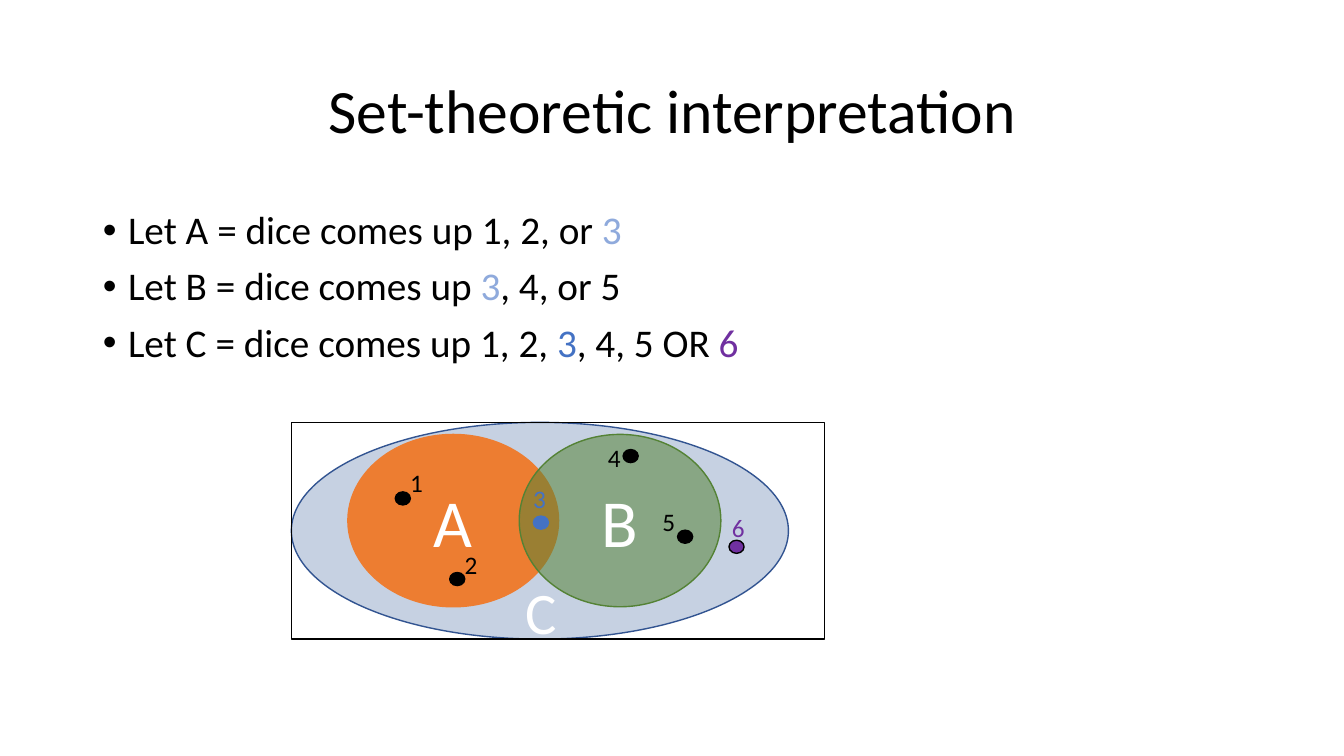
from lxml import etree
from pptx import Presentation
from pptx.dml.color import RGBColor
from pptx.enum.shapes import MSO_SHAPE
from pptx.enum.text import MSO_ANCHOR, MSO_AUTO_SIZE, PP_ALIGN
from pptx.oxml.ns import qn
from pptx.util import Pt

OVAL, RECTANGLE = MSO_SHAPE.OVAL, MSO_SHAPE.RECTANGLE
LEFT, CENTER = PP_ALIGN.LEFT, PP_ALIGN.CENTER
TOP, MIDDLE = MSO_ANCHOR.TOP, MSO_ANCHOR.MIDDLE
NO_FIT = MSO_AUTO_SIZE.NONE
EMU_PER_PX = 9144
FONT = "Calibri"
BLACK, WHITE = "000000", "FFFFFF"
BLUE, PALE_BLUE, PURPLE = "4472C4", "8FAADC", "7030A0"
ORANGE, GREEN = "ED7D31", "548235"

DEFINITIONS = [
    [("Let A = dice comes up 1, 2, or ", BLACK), ("3", PALE_BLUE)],
    [("Let B = dice comes up ", BLACK), ("3", PALE_BLUE), (", 4, or 5", BLACK)],
    [("Let C = dice comes up 1, 2, ", BLACK), ("3", BLUE),
     (", 4, 5 OR ", BLACK), ("6", PURPLE)],
]
OUTCOMES = [
    ("1", (103, 69), (108, 40), BLACK, BLACK),
    ("2", (157, 149), (162, 121), BLACK, BLACK),
    ("3", (240, 93), (230, 56), BLUE, BLUE),
    ("4", (329, 27), (304, 15), BLACK, BLACK),
    ("5", (383, 107), (358, 78), BLACK, BLACK),
    ("6", (434, 117), (427, 84), PURPLE, BLACK),
]


def px(length):
    """Turn px into EMU."""
    return length * EMU_PER_PX


def color(hex_code):
    """Turn a hex string into a colour."""
    return RGBColor.from_string(hex_code)


def write(paragraph, text, size=28, ink=BLACK, align=LEFT, spacing=None):
    """Add a formatted run to a paragraph."""
    paragraph.alignment = align
    paragraph.line_spacing = spacing
    run = paragraph.add_run()
    run.text = text
    run.font.name, run.font.size = FONT, Pt(size)
    run.font.color.rgb = color(ink)


def move(placeholder, box, anchor):
    """Place a placeholder in a box and return its text frame."""
    left, top, width, height = map(px, box)
    placeholder.left, placeholder.top = left, top
    placeholder.width, placeholder.height = width, height
    frame = placeholder.text_frame
    frame.auto_size, frame.vertical_anchor = NO_FIT, anchor
    return frame


def add_outline(slide, kind, box, line, fill=None, opacity=100):
    """Draw a preset shape with an outline and an optional fill."""
    shape = slide.shapes.add_shape(kind, *map(px, box))
    shape.shadow.inherit = False
    shape.line.color.rgb, shape.line.width = color(line), Pt(1)
    if fill is None:
        shape.fill.background()
        return shape
    shape.fill.solid()
    shape.fill.fore_color.rgb = color(fill)
    if opacity < 100:
        tint = shape.fill._xPr.find(".//" + qn("a:srgbClr"))
        etree.SubElement(tint, qn("a:alpha"), val=str(opacity * 1000))
    return shape


def add_label(slide, box, text, **style):
    """Add a wrapped text box with one line of text."""
    label = slide.shapes.add_textbox(*map(px, box))
    label.text_frame.word_wrap = True
    write(label.text_frame.paragraphs[0], text, **style)


def add_title(slide, box):
    """Fill the title placeholder."""
    frame = move(slide.shapes.title, box, MIDDLE)
    write(frame.paragraphs[0], "Set-theoretic interpretation",
          size=44, align=CENTER, spacing=0.9)


def add_definitions(slide, box):
    """List the definitions of the three sets."""
    frame = move(slide.placeholders[1], box, TOP)
    for index, pieces in enumerate(DEFINITIONS):
        paragraph = frame.add_paragraph() if index else frame.paragraphs[0]
        properties = paragraph._p.get_or_add_pPr()
        properties.set("marL", str(px(25)))
        properties.set("indent", str(px(-25)))
        etree.SubElement(properties, qn("a:buFont"), typeface="Arial")
        etree.SubElement(properties, qn("a:buChar"), char="•")
        paragraph.space_before = Pt(10 if index else 0)
        for text, ink in pieces:
            write(paragraph, text, ink=ink, spacing=0.9)


def add_venn(slide, box):
    """Draw the sample space, its sets and the six outcomes."""
    left, top, width, height = box
    add_outline(slide, OVAL, (left, top, 493, height), "325491", "2F5597", 27)
    add_outline(slide, RECTANGLE, box, BLACK)
    for name, offset, span, fill, opacity in (
            ("A", 56, 209, ORANGE, 100), ("B", 226, 200, GREEN, 54)):
        event = add_outline(slide, OVAL, (left + offset, top + 12, span, 171),
                            fill, fill, opacity)
        event.text_frame.vertical_anchor = MIDDLE
        write(event.text_frame.paragraphs[0], name,
              size=48, ink=WHITE, align=CENTER)
    for number, dot, label, ink, line in OUTCOMES:
        add_outline(slide, OVAL, (left + dot[0], top + dot[1], 15, 13), line, ink)
        add_label(slide, (left + label[0], top + label[1], 39, 40), number,
                  size=18, ink=ink)
    add_label(slide, (left + 186, top + 147, 123, 81), "C",
              size=42, ink=WHITE, align=CENTER)


def main():
    """Build and save the slide."""
    deck = Presentation()
    deck.slide_width, deck.slide_height = px(1333), px(750)
    slide = deck.slides.add_slide(deck.slide_layouts[1])
    add_title(slide, (92, 40, 1150, 145))
    add_definitions(slide, (92, 204, 1150, 476))
    add_venn(slide, (289, 419, 529, 215))
    deck.save("out.pptx")


if __name__ == "__main__":
    main()
